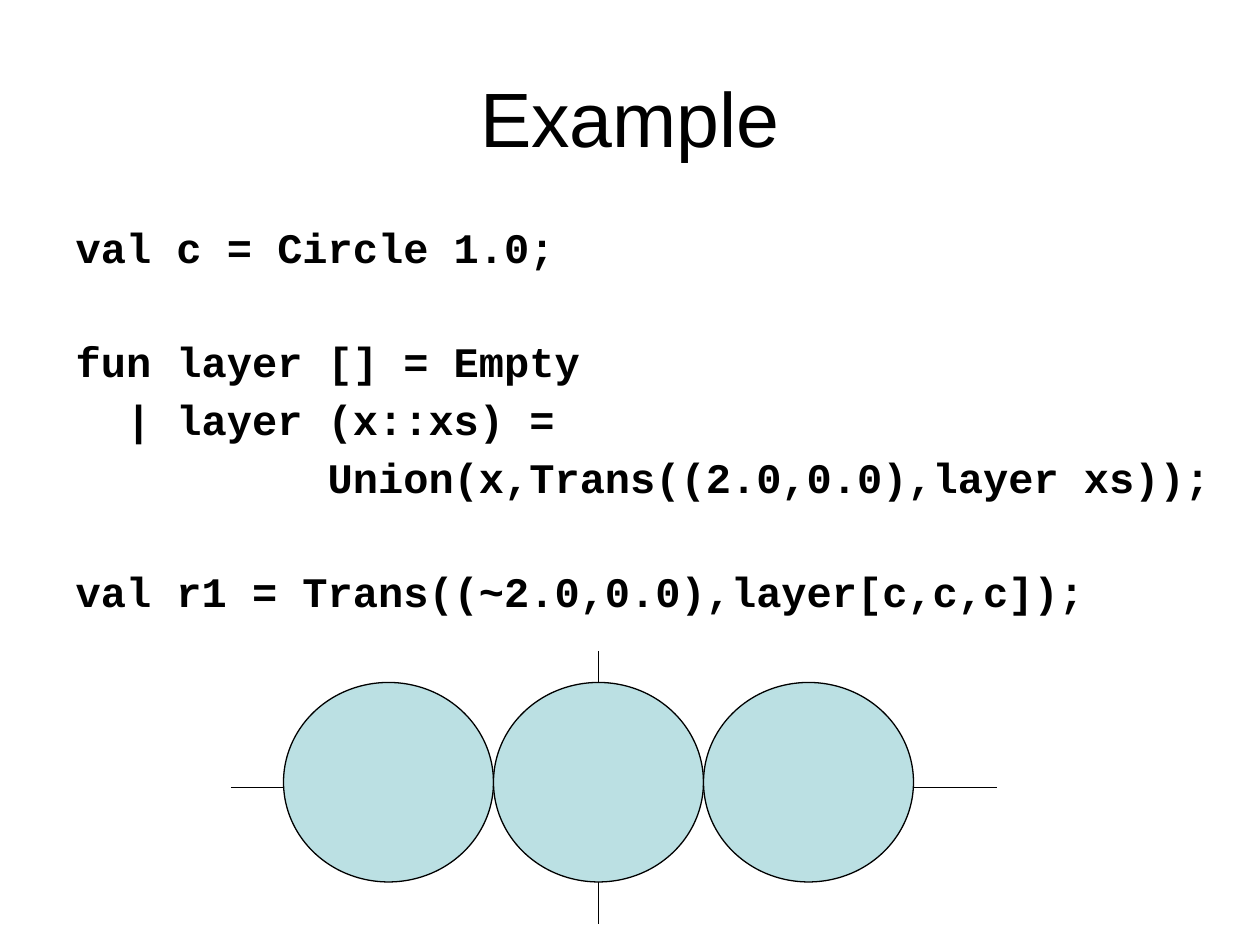
"""Build the slide that shows a row of circles composed from code."""
from typing import NamedTuple

from lxml.etree import SubElement
from pptx import Presentation
from pptx.dml.color import RGBColor
from pptx.enum.shapes import MSO_CONNECTOR, MSO_SHAPE
from pptx.enum.text import MSO_ANCHOR, MSO_AUTO_SIZE, PP_ALIGN
from pptx.oxml.ns import qn
from pptx.shapes.group import GroupShape
from pptx.shapes.placeholder import SlidePlaceholder
from pptx.text.text import _Paragraph as Paragraph
from pptx.util import Emu, Pt

BLACK = RGBColor(0x00, 0x00, 0x00)
WHITE = RGBColor(0xFF, 0xFF, 0xFF)
PALE_TEAL = RGBColor(0xBB, 0xE0, 0xE3)
EMU_PER_PX = 9525
LINE_WIDTH = Pt(0.75)


class Box(NamedTuple):
    """A rectangle in px."""

    left: int
    top: int
    width: int
    height: int


class Axis(NamedTuple):
    """A straight line between two points in px."""

    start_x: int
    start_y: int
    end_x: int
    end_y: int


class CodeLine(NamedTuple):
    """A line of code and the space before it in points."""

    text: str
    space_before: float


LINE_GAP = 7.4
BLOCK_GAP = 39.3
CODE = (
    CodeLine("val c = Circle 1.0;", 0),
    CodeLine("fun layer [] = Empty", BLOCK_GAP),
    CodeLine("  | layer (x::xs) =", LINE_GAP),
    CodeLine("          Union(x,Trans((2.0,0.0),layer xs));", LINE_GAP),
    CodeLine("val r1 = Trans((~2.0,0.0),layer[c,c,c]);", BLOCK_GAP),
)
TITLE_BOX = Box(48, 29, 864, 120)
CODE_BOX = Box(48, 168, 888, 328)
AXES = (Axis(176, 600, 760, 600), Axis(456, 496, 456, 704))
FIRST_CIRCLE = Box(216, 520, 160, 152)
CIRCLE_COUNT = 3
HANGING_INDENT = 36


def px(length: int) -> Emu:
    """Turn px into EMU."""
    return Emu(length * EMU_PER_PX)


def place(placeholder: SlidePlaceholder, box: Box, anchor: MSO_ANCHOR) -> None:
    """Move a placeholder and fix its text settings."""
    placeholder.left, placeholder.top, placeholder.width, placeholder.height = map(px, box)
    frame = placeholder.text_frame
    frame.auto_size = MSO_AUTO_SIZE.NONE
    frame.word_wrap = True
    frame.vertical_anchor = anchor


def add_run(paragraph: Paragraph, text: str, font_name: str, size: int, bold: bool) -> None:
    """Add one formatted run to a paragraph."""
    run = paragraph.add_run()
    run.text = text
    run.font.name = font_name
    run.font.size = Pt(size)
    run.font.bold = bold
    run.font.color.rgb = BLACK


def write_code(placeholder: SlidePlaceholder, lines: tuple[CodeLine, ...]) -> None:
    """Write code lines as paragraphs without bullets."""
    frame = placeholder.text_frame
    for index, line in enumerate(lines):
        paragraph = frame.add_paragraph() if index else frame.paragraphs[0]
        properties = paragraph._p.get_or_add_pPr()
        properties.set("marL", str(px(HANGING_INDENT)))
        properties.set("indent", str(px(-HANGING_INDENT)))
        SubElement(properties, qn("a:buNone"))
        paragraph.line_spacing = 0.9
        paragraph.space_before = Pt(line.space_before)
        add_run(paragraph, line.text, "Courier New", 24, True)


def draw_axis(group: GroupShape, axis: Axis) -> None:
    """Draw one axis line."""
    connector = group.shapes.add_connector(MSO_CONNECTOR.STRAIGHT, *map(px, axis))
    connector.line.color.rgb = BLACK
    connector.line.width = LINE_WIDTH
    SubElement(connector._element.spPr, qn("a:effectLst"))


def draw_circle(group: GroupShape, box: Box) -> None:
    """Draw one filled circle."""
    circle = group.shapes.add_shape(MSO_SHAPE.OVAL, *map(px, box))
    circle.shadow.inherit = False
    circle.fill.solid()
    circle.fill.fore_color.rgb = PALE_TEAL
    circle.line.color.rgb = BLACK
    circle.line.width = LINE_WIDTH


def main() -> None:
    """Build and save the presentation."""
    presentation = Presentation()
    presentation.slide_width, presentation.slide_height = px(960), px(720)
    slide = presentation.slides.add_slide(presentation.slide_layouts[1])
    slide.background.fill.solid()
    slide.background.fill.fore_color.rgb = WHITE

    title, body = slide.placeholders
    place(title, TITLE_BOX, MSO_ANCHOR.MIDDLE)
    heading = title.text_frame.paragraphs[0]
    heading.alignment = PP_ALIGN.CENTER
    add_run(heading, "Example", "Arial", 44, False)
    place(body, CODE_BOX, MSO_ANCHOR.TOP)
    write_code(body, CODE)

    diagram = slide.shapes.add_group_shape()
    for axis in AXES:
        draw_axis(diagram, axis)
    for index in range(CIRCLE_COUNT):
        left = FIRST_CIRCLE.left + index * FIRST_CIRCLE.width
        draw_circle(diagram, FIRST_CIRCLE._replace(left=left))

    presentation.save("out.pptx")


if __name__ == "__main__":
    main()
